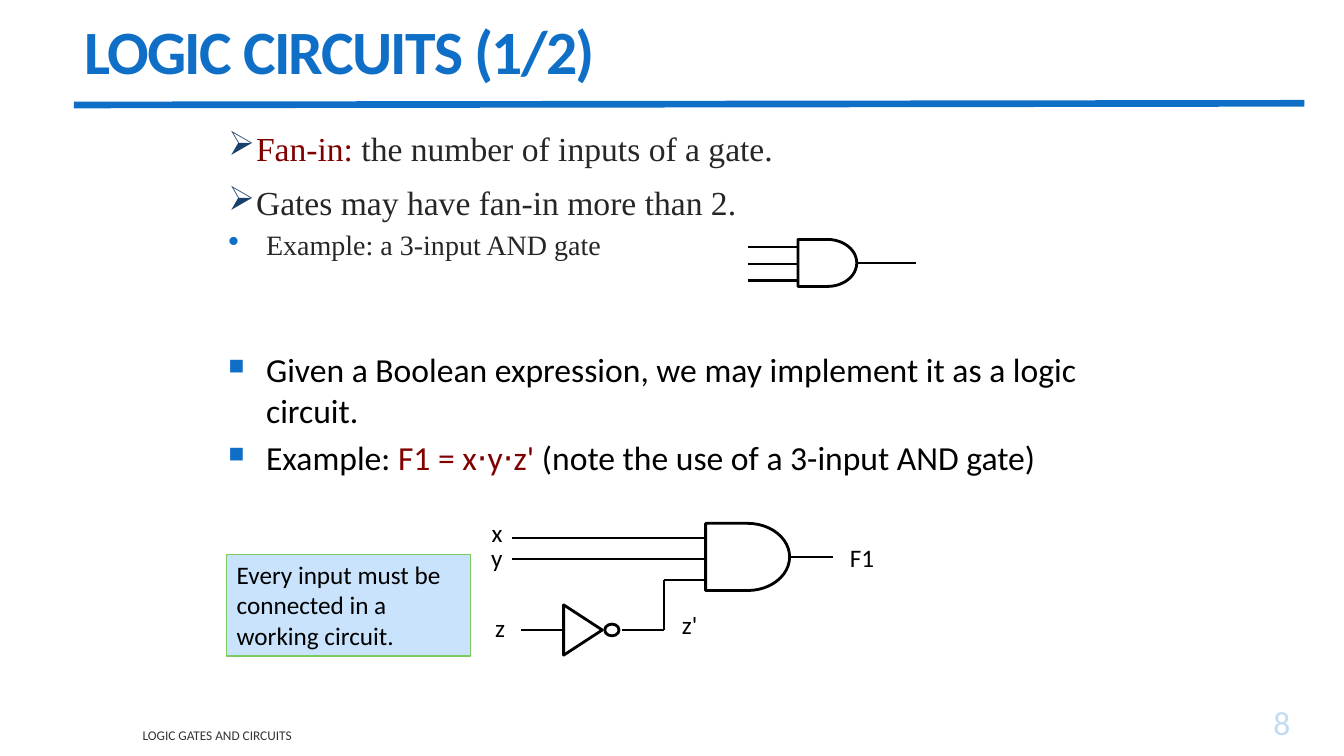
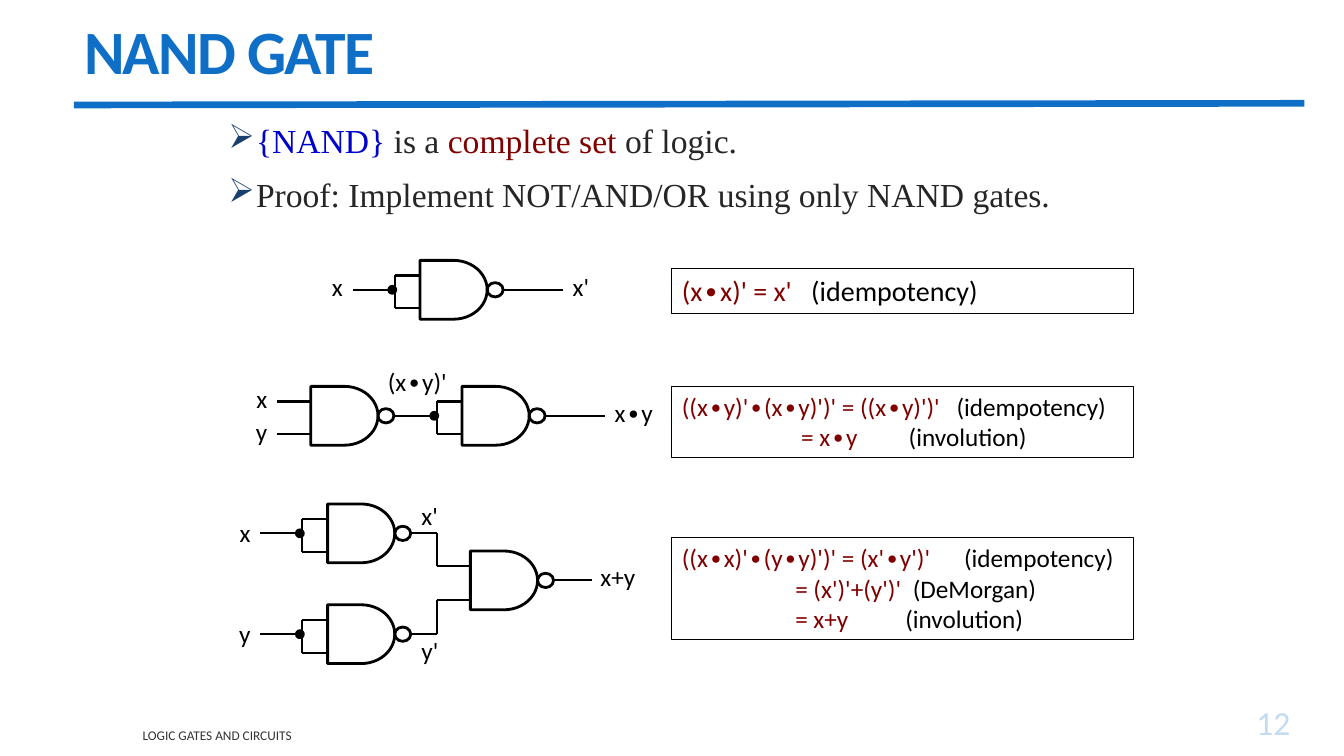
"""Build two lecture slides on logic circuits and the NAND gate."""
from dataclasses import dataclass
from itertools import pairwise

from lxml import etree
from pptx import Presentation
from pptx.dml.color import RGBColor
from pptx.enum.shapes import MSO_CONNECTOR, MSO_SHAPE
from pptx.enum.text import MSO_ANCHOR, MSO_AUTO_SIZE, PP_ALIGN
from pptx.oxml.ns import qn
from pptx.util import Inches, Pt

STRAIGHT = MSO_CONNECTOR.STRAIGHT
GATE, TRIANGLE = MSO_SHAPE.FLOWCHART_DELAY, MSO_SHAPE.FLOWCHART_MERGE
OVAL, RECTANGLE = MSO_SHAPE.OVAL, MSO_SHAPE.RECTANGLE
TOP, MIDDLE, BOTTOM = MSO_ANCHOR.TOP, MSO_ANCHOR.MIDDLE, MSO_ANCHOR.BOTTOM
LEFT, RIGHT = PP_ALIGN.LEFT, PP_ALIGN.RIGHT
NO_FIT = MSO_AUTO_SIZE.NONE
RIGHT_SIDE = 3
COLUMNS, ROWS = 160, 90
CELL = Inches(1) // 12


@dataclass(frozen=True)
class Theme:
    sans: str = "Calibri"
    serif: str = "Times New Roman"
    blue: str = "0F6FC6"
    navy: str = "17406D"
    pale_blue: str = "C3DBF1"
    black: str = "000000"
    body: str = "262626"
    footer: str = "333333"
    maroon: str = "800000"
    set_blue: str = "0000CC"
    note_fill: str = "C8E3FB"
    note_line: str = "7CCA62"
    title_size: float = 44
    text_size: float = 24
    detail_size: float = 20
    label_size: float = 18
    footer_size: float = 9.5
    rule_weight: float = 4.75
    gate_weight: float = 2
    wire_weight: float = 1.5
    thin_weight: float = 1
    proof_weight: float = 0.75


@dataclass(frozen=True)
class Style:
    size: float
    color: str
    font: str = Theme.sans
    bold: bool = False
    align: int = LEFT
    before: float = 0
    leading: float = 1
    bullet: str = ""
    bullet_color: str = Theme.blue
    bullet_percent: int = 100
    indent: float = 0


theme = Theme()
HEADING = Style(theme.title_size, theme.blue, bold=True, leading=0.85)
FOOTER = Style(theme.footer_size, theme.footer)
NUMBER = Style(theme.text_size, theme.pale_blue, align=RIGHT)
POINT = Style(theme.text_size, theme.body, theme.serif, before=10,
              bullet="➢", bullet_color=theme.navy, indent=3.3)
SUBPOINT = Style(theme.detail_size, theme.body, theme.serif, before=4,
                 bullet="•", bullet_percent=112, indent=4.5)
SQUARE = Style(theme.text_size, theme.black, before=5,
               bullet="■", bullet_percent=65, indent=4.5)
INPUT = Style(theme.label_size, theme.black, align=RIGHT)
LABEL = Style(theme.label_size, theme.black)
PROOF = Style(theme.detail_size, theme.black)


def place(slide, box, kind=None, line=None, weight=theme.gate_weight, fill=None):
    """Add a preset shape, or a text box, on the grid."""
    frame = [round(CELL * cells) for cells in box]
    if kind is None:
        return slide.shapes.add_textbox(*frame)
    shape = slide.shapes.add_shape(kind, *frame)
    shape.shadow.inherit = False
    shape.line.color.rgb = RGBColor.from_string(line)
    shape.line.width = Pt(weight)
    if fill:
        shape.fill.solid()
        shape.fill.fore_color.rgb = RGBColor.from_string(fill)
    else:
        shape.fill.background()
    return shape


def write(shape, paragraphs, anchor=TOP):
    """Fill a shape with (style, runs, tab stops...) paragraphs."""
    frame = shape.text_frame
    frame.word_wrap = True
    frame.auto_size = NO_FIT
    frame.vertical_anchor = anchor
    for index, (style, runs, *tabs) in enumerate(paragraphs):
        paragraph = frame.add_paragraph() if index else frame.paragraphs[0]
        paragraph.alignment = style.align
        paragraph.line_spacing = style.leading
        paragraph.space_before = Pt(style.before if index else 0)
        font = paragraph.font
        font.name, font.size, font.bold = style.font, Pt(style.size), style.bold
        font.color.rgb = RGBColor.from_string(style.color)
        properties = paragraph._p.get_or_add_pPr()
        extras = []
        if style.bullet:
            indent = round(CELL * style.indent)
            properties.set("marL", str(indent))
            properties.set("indent", str(-indent))
            tint = etree.Element(qn("a:buClr"))
            etree.SubElement(tint, qn("a:srgbClr"), val=style.bullet_color)
            extras += [tint,
                       etree.Element(qn("a:buSzPct"), val=str(style.bullet_percent * 1000)),
                       etree.Element(qn("a:buChar"), char=style.bullet)]
        if tabs:
            stops = etree.Element(qn("a:tabLst"))
            for stop in tabs:
                etree.SubElement(stops, qn("a:tab"), pos=str(round(CELL * stop)), algn="l")
            extras.append(stops)
        for extra in extras:
            properties.find(qn("a:defRPr")).addprevious(extra)
        for words, color in [(runs, None)] if isinstance(runs, str) else runs:
            run = paragraph.add_run()
            run.text = words
            if color:
                run.font.color.rgb = RGBColor.from_string(color)


circuits = {
    "title": "LOGIC CIRCUITS (1/2)",
    "number": "8",
    "texts": [
        ((26, 14.6, 108, 18.5), [
            (POINT, [("Fan-in:", theme.maroon), (" the number of inputs of a gate.", None)]),
            (POINT, "Gates may have fan-in more than 2."),
            (SUBPOINT, "Example: a 3-input AND gate")]),
        ((26, 41, 108, 27.5), [
            (SQUARE, "Given a Boolean expression, we may implement it as a logic circuit."),
            (SQUARE, [("Example: ", None), ("F1 = x⋅y⋅z'", theme.maroon),
                      (" (note the use of a 3-input AND gate)", None)])]),
    ],
    "and_gates": [(84, 62.3, 10, 8, 99.2), (95, 28.5, 7, 5.6, 109)],
    "nand_gates": [],
    "inverters": [(66.4, 72.7, 6, 4.6)],
    "wires": [
        [(61, 64), (84, 64)],
        [(61, 66.6), (84, 66.6)],
        [(62, 75), (67, 75)],
        [(74, 75), (79, 75), (79, 69), (84, 69)],
        *[[(89, row), (95, row)] for row in (29.4, 31.4, 33.4)],
    ],
    "labels": [
        (INPUT, "x", 57, 61, 4), (INPUT, "y", 57, 64, 4), (INPUT, "z", 57.3, 72.3, 4),
        (LABEL, "F1", 100, 64, 7), (LABEL, "z'", 80, 72, 5),
    ],
    "panels": [
        ((27, 66, 29, 12.1), theme.note_line, theme.thin_weight, theme.note_fill,
         [(LABEL, "Every input must be connected in a working circuit.")]),
    ],
}

nand = {
    "title": "NAND GATE",
    "number": "12",
    "texts": [
        ((26, 13.7, 108, 16), [
            (POINT, [("{NAND} ", theme.set_blue), ("is a ", None),
                     ("complete set ", theme.maroon), ("of logic.", None)]),
            (POINT, "Proof: Implement NOT/AND/OR using only NAND gates.")]),
    ],
    "and_gates": [],
    "nand_gates": [
        (50, 31, True, 67),
        (37, 46, False, 47), (55, 46, True, 72),
        (39, 60, True, 52), (39, 72, True, 52), (56, 65.6, False, 70.5),
    ],
    "inverters": [],
    "wires": [
        [(33, 47.8), (37, 47.8)],
        [(33, 51.7), (37, 51.7)],
        [(52, 63.5), (52, 67.4), (56, 67.4)],
        [(52, 75.5), (52, 71.4), (56, 71.4)],
    ],
    "labels": [
        (INPUT, "x", 38, 31.7, 4), (LABEL, "x'", 67, 31.7, 6),
        (INPUT, "x", 29, 45, 4), (INPUT, "y", 29, 49, 4),
        (LABEL, "(x∙y)'", 45, 43, 12), (LABEL, "x∙y", 72, 46.7, 7),
        (INPUT, "x", 27, 61, 4), (INPUT, "y", 27, 73, 4),
        (LABEL, "x'", 49, 59, 5), (LABEL, "y'", 49, 75, 5), (LABEL, "x+y", 70.3, 66.2, 8),
    ],
    "panels": [
        ((80, row, 55, height), theme.black, theme.proof_weight, None,
         [(style, [(formula, theme.maroon), ("\t" + law, None)], *tabs)
          for style, formula, law, *tabs in steps])
        for row, height, steps in [
            (32, 5.3, [(PROOF, "(x∙x)' = x'", "(idempotency)", 15.4)]),
            (46, 8.5, [
                (LABEL, "((x∙y)'∙(x∙y)')' = ((x∙y)')'", "(idempotency)", 32.7),
                (LABEL, "\t= x∙y", "(involution)", 14.2, 27)]),
            (64, 12.1, [
                (LABEL, "((x∙x)'∙(y∙y)')' = (x'∙y')'", "(idempotency)", 33.6),
                (LABEL, "\t= (x')'+(y')'", "(DeMorgan)", 13.5, 27.5),
                (LABEL, "\t= x+y", "(involution)", 13.5, 26.6)]),
        ]
    ],
}

deck = Presentation()
deck.slide_width, deck.slide_height = COLUMNS * CELL, ROWS * CELL
title_only = deck.slide_layouts[5]

for content in (circuits, nand):
    slide = deck.slides.add_slide(title_only)
    title = slide.shapes.title
    title.left, title.top, title.width, title.height = [
        round(CELL * cells) for cells in (8.8, 1, 141.4, 11.2)]
    write(title, [(HEADING, content["title"])], MIDDLE)
    title.text_frame.paragraphs[0].runs[0]._r.get_or_add_rPr().set("spc", "-120")
    write(place(slide, (15.8, 86, 90, 3)), [(FOOTER, "LOGIC GATES AND CIRCUITS")], MIDDLE)
    write(place(slide, (139.2, 84, 15.6, 5)), [(NUMBER, content["number"])], BOTTOM)
    for box, paragraphs in content["texts"]:
        write(place(slide, box), paragraphs)

    lines = [([(8.8, 12.5), (155.3, 12.3)], theme.blue, theme.rule_weight, None)]
    wires = [(points, None) for points in content["wires"]]
    for column, row, width, height, end in content["and_gates"]:
        gate = place(slide, (column, row, width, height), GATE, theme.black)
        middle = row + height / 2
        wires.append(([(column + width, middle), (end, middle)], gate))
    for column, row, tied, end in content["nand_gates"]:
        middle, upper, lower = row + 3.5, row + 1.8, row + 5.7
        place(slide, (column, row, 8, 7), GATE, theme.black)
        place(slide, (column + 8, middle - 0.85, 1.9, 1.7), OVAL, theme.black)
        if end > column + 10:
            wires.append(([(column + 10, middle), (end, middle)], None))
        if tied:
            joint = column - 3
            wires += [([(joint - 5, middle), (joint, middle)], None),
                      ([(column, upper), (joint, upper), (joint, lower), (column, lower)], None)]
            place(slide, (joint - 0.8, middle - 0.5, 1, 1), OVAL, theme.black,
                  theme.thin_weight, theme.black)
    for column, row, width, height in content["inverters"]:
        place(slide, (column, row, width, height), TRIANGLE, theme.black).rotation = 270
        place(slide, (column + 5.6, row + height / 2 - 0.7, 1.7, 1.4), OVAL, theme.black)

    lines += [(points, theme.black, theme.wire_weight, gate) for points, gate in wires]
    for points, color, weight, gate in lines:
        for start, stop in pairwise(points):
            wire = slide.shapes.add_connector(
                STRAIGHT, *[round(CELL * cells) for cells in (*start, *stop)])
            wire.line.color.rgb = RGBColor.from_string(color)
            wire.line.width = Pt(weight)
            etree.SubElement(wire._element.spPr, qn("a:effectLst"))
            if gate:
                wire.begin_connect(gate, RIGHT_SIDE)

    for style, words, column, row, width in content["labels"]:
        write(place(slide, (column, row, width, 4.8)), [(style, words)])
    for box, line, weight, fill, paragraphs in content["panels"]:
        write(place(slide, box, RECTANGLE, line, weight, fill), paragraphs)

deck.save("out.pptx")
